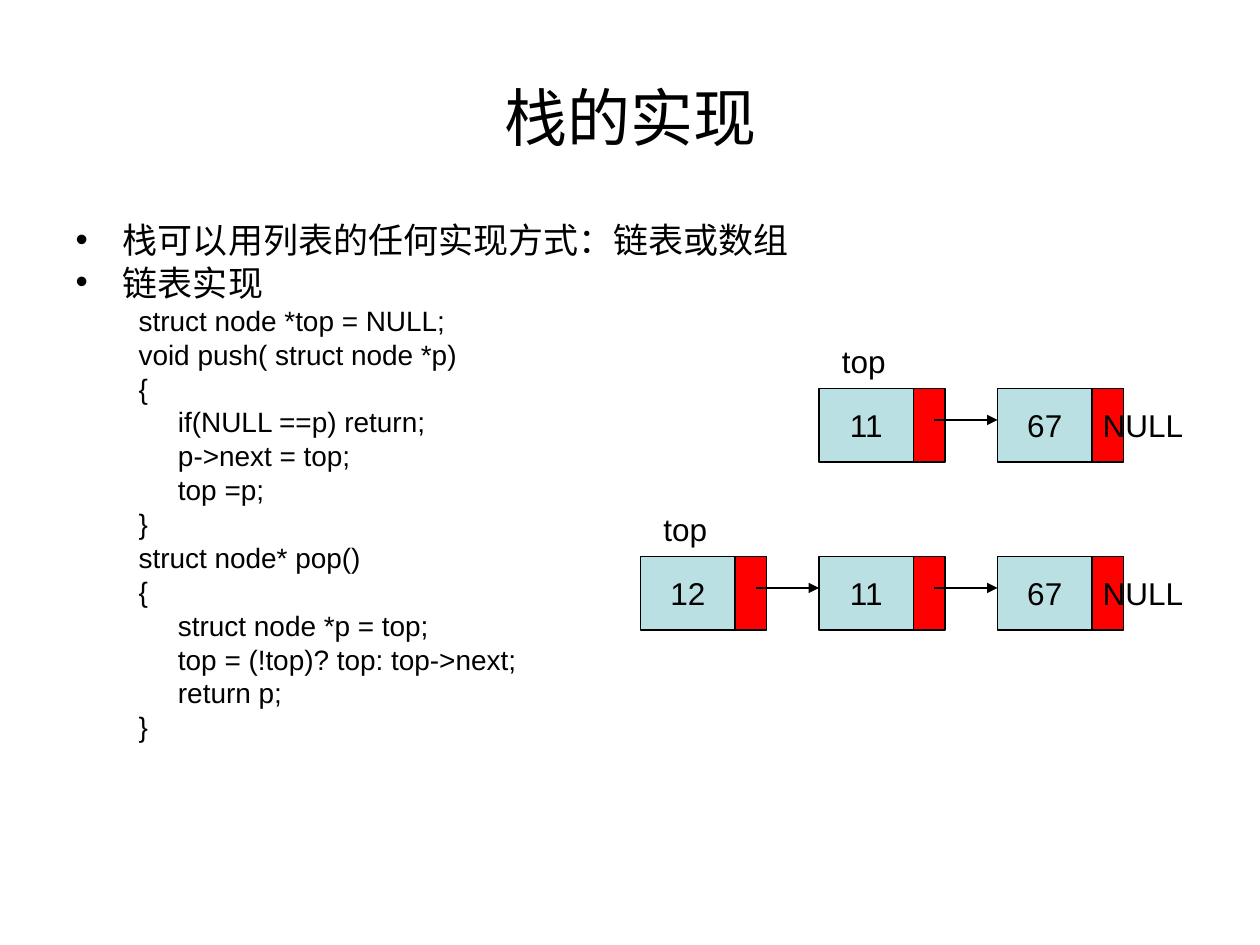
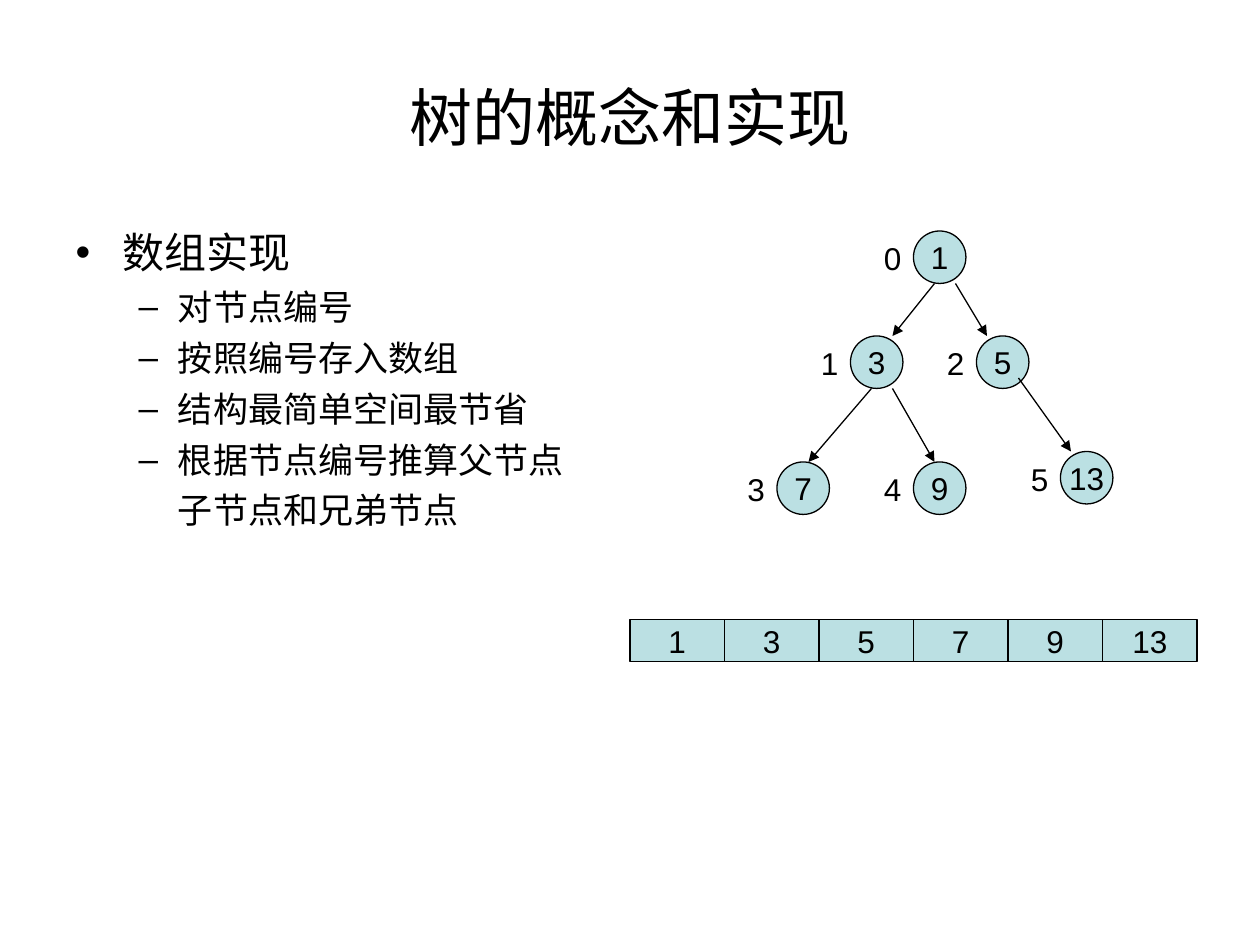
from lxml.etree import SubElement
from pptx import Presentation
from pptx.dml.color import RGBColor
from pptx.enum.shapes import MSO_CONNECTOR, MSO_SHAPE
from pptx.enum.text import MSO_ANCHOR, MSO_AUTO_SIZE, PP_ALIGN
from pptx.oxml.ns import qn
from pptx.util import Pt

BLACK = RGBColor(0x00, 0x00, 0x00)
PALE_BLUE = RGBColor(0xBB, 0xE0, 0xE3)
RED = RGBColor(0xFF, 0x00, 0x00)
FONT = "Arial"
LABEL_SIZE = 18
LINE_WIDTH = 0.75

DATA_WIDTH, LINK_WIDTH, NODE_HEIGHT, NODE_PITCH = 54, 18, 42, 102
CIRCLE = 30
HANG, CODE_LEFT, TEXT_LEFT = 22.5, 36, 58.5

STACK_POINTS = ["栈可以用列表的任何实现方式：链表或数组", "链表实现"]
STACK_CODE = [
    (0, "struct node *top = NULL;"),
    (0, "void push( struct node *p)"),
    (0, "{"),
    (1, "if(NULL ==p) return;"),
    (1, "p->next = top;"),
    (1, "top =p;"),
    (0, "}"),
    (0, "struct node* pop()"),
    (0, "{"),
    (1, "struct node *p = top;"),
    (1, "top = (!top)? top: top->next;"),
    (1, "return p;"),
    (0, "}"),
]
ARRAY_POINTS = ["对节点编号", "按照编号存入数组", "结构最简单空间最节省", "根据节点编号推算父节点"]
TREE_NODES = [
    ("1", 522, 132),
    ("3", 486, 192),
    ("5", 558, 192),
    ("7", 444, 264),
    ("9", 522, 264),
    ("13", 606, 258),
]
TREE_EDGES = [
    (534, 162, 510, 192),
    (546, 162, 564, 192),
    (498, 222, 462, 264),
    (510, 222, 534, 264),
    (582, 216, 612, 258),
]


def format_runs(p, size):
    """Give every run of a paragraph the shared font."""
    for r in p.runs:
        r.font.name = FONT
        r.font.size = Pt(size)
        r.font.color.rgb = BLACK


def place(sp, left, top, width, height):
    """Move and size a shape."""
    sp.left, sp.top, sp.width, sp.height = Pt(left), Pt(top), Pt(width), Pt(height)


def add_slide(prs, title):
    """Add a titled slide and return it with its body text frame."""
    slide = prs.slides.add_slide(prs.slide_layouts[1])
    sp = slide.shapes.title
    place(sp, 36, 21.6, 648, 90)
    sp.text_frame.text = title
    sp.text_frame.auto_size = MSO_AUTO_SIZE.NONE
    sp.text_frame.vertical_anchor = MSO_ANCHOR.MIDDLE
    p = sp.text_frame.paragraphs[0]
    p.alignment = PP_ALIGN.CENTER
    format_runs(p, 36)
    body = slide.placeholders[1]
    place(body, 36, 126, 648, 330)
    body.text_frame.auto_size = MSO_AUTO_SIZE.NONE
    return slide, body.text_frame


def add_item(tf, text, size, before, level=0, spacing=1.0, plain_left=None):
    """Add a list paragraph, without a bullet if plain_left is given."""
    p = tf.paragraphs[0] if not tf.text else tf.add_paragraph()
    p.text = text
    p.level = level
    p.space_before = Pt(before)
    p.line_spacing = spacing
    if plain_left is not None:
        pPr = p._p.get_or_add_pPr()
        pPr.set("marL", str(Pt(plain_left)))
        pPr.set("indent", "0")
        SubElement(pPr, qn("a:buNone"))
    format_runs(p, size)


def add_cell(slide, kind, left, top, width, height, fill, text=""):
    """Add an outlined shape with centred text."""
    sp = slide.shapes.add_shape(kind, Pt(left), Pt(top), Pt(width), Pt(height))
    sp.shadow.inherit = False
    sp.fill.solid()
    sp.fill.fore_color.rgb = fill
    sp.line.color.rgb = BLACK
    sp.line.width = Pt(LINE_WIDTH)
    tf = sp.text_frame
    tf.text = text
    tf.word_wrap = False
    tf.vertical_anchor = MSO_ANCHOR.MIDDLE
    p = tf.paragraphs[0]
    p.alignment = PP_ALIGN.CENTER
    format_runs(p, LABEL_SIZE)


def add_label(slide, text, left, top, width, height=29):
    """Add a one-line label."""
    tf = slide.shapes.add_textbox(Pt(left), Pt(top), Pt(width), Pt(height)).text_frame
    tf.text = text
    tf.word_wrap = True
    tf.vertical_anchor = MSO_ANCHOR.MIDDLE
    format_runs(tf.paragraphs[0], LABEL_SIZE)


def add_arrow(slide, x1, y1, x2, y2):
    """Add a straight arrow."""
    line = slide.shapes.add_connector(
        MSO_CONNECTOR.STRAIGHT, Pt(x1), Pt(y1), Pt(x2), Pt(y2))
    line.line.color.rgb = BLACK
    line.line.width = Pt(LINE_WIDTH)
    SubElement(line.line._ln, qn("a:tailEnd"), type="triangle")
    SubElement(line._element.spPr, qn("a:effectLst"))


def add_linked_list(slide, values, left, top):
    """Draw a linked list whose first node is the top of the stack."""
    add_label(slide, "top", left + 6, top - 30, 54)
    for i, value in enumerate(values):
        x = left + i * NODE_PITCH
        link = x + DATA_WIDTH
        add_cell(slide, MSO_SHAPE.RECTANGLE, x, top, DATA_WIDTH, NODE_HEIGHT, PALE_BLUE, value)
        add_cell(slide, MSO_SHAPE.RECTANGLE, link, top, LINK_WIDTH, NODE_HEIGHT, RED)
        if i < len(values) - 1:
            add_arrow(slide, link + 12, top + 18, x + NODE_PITCH, top + 18)
        else:
            add_label(slide, "NULL", link - 1, top, 72, NODE_HEIGHT)


def add_tree(slide):
    """Draw the numbered binary tree."""
    for number, (value, left, top) in enumerate(TREE_NODES):
        add_cell(slide, MSO_SHAPE.OVAL, left, top, CIRCLE, CIRCLE, PALE_BLUE, value)
        add_label(slide, str(number), left - 24, top + 1, 24)
    for edge in TREE_EDGES:
        add_arrow(slide, *edge)


def add_array(slide, values, left, top):
    """Draw an array as a row of cells."""
    for i, value in enumerate(values):
        add_cell(slide, MSO_SHAPE.RECTANGLE, left + i * DATA_WIDTH, top,
                 DATA_WIDTH, 24, PALE_BLUE, value)


def build_stack_slide(prs):
    """Build the slide on implementing a stack."""
    slide, tf = add_slide(prs, "栈的实现")
    for text in STACK_POINTS:
        add_item(tf, text, 20, 5, spacing=0.8)
    for depth, text in STACK_CODE:
        add_item(tf, text, 16, 4, 1, 0.8, CODE_LEFT + depth * HANG)
    add_linked_list(slide, ["11", "67"], 468, 222)
    add_linked_list(slide, ["12", "11", "67"], 366, 318)


def build_tree_slide(prs):
    """Build the slide on storing a tree in an array."""
    slide, tf = add_slide(prs, "树的概念和实现")
    add_item(tf, "数组实现", 24, 6)
    for text in ARRAY_POINTS:
        add_item(tf, text, 20, 5, 1)
    add_item(tf, "子节点和兄弟节点", 20, 5, 1, plain_left=TEXT_LEFT)
    add_tree(slide)
    add_array(slide, [value for value, _, _ in TREE_NODES], 360, 354)


def main():
    """Build and save the presentation."""
    prs = Presentation()
    prs.slide_width, prs.slide_height = Pt(720), Pt(540)
    build_stack_slide(prs)
    build_tree_slide(prs)
    prs.save("out.pptx")


if __name__ == "__main__":
    main()
